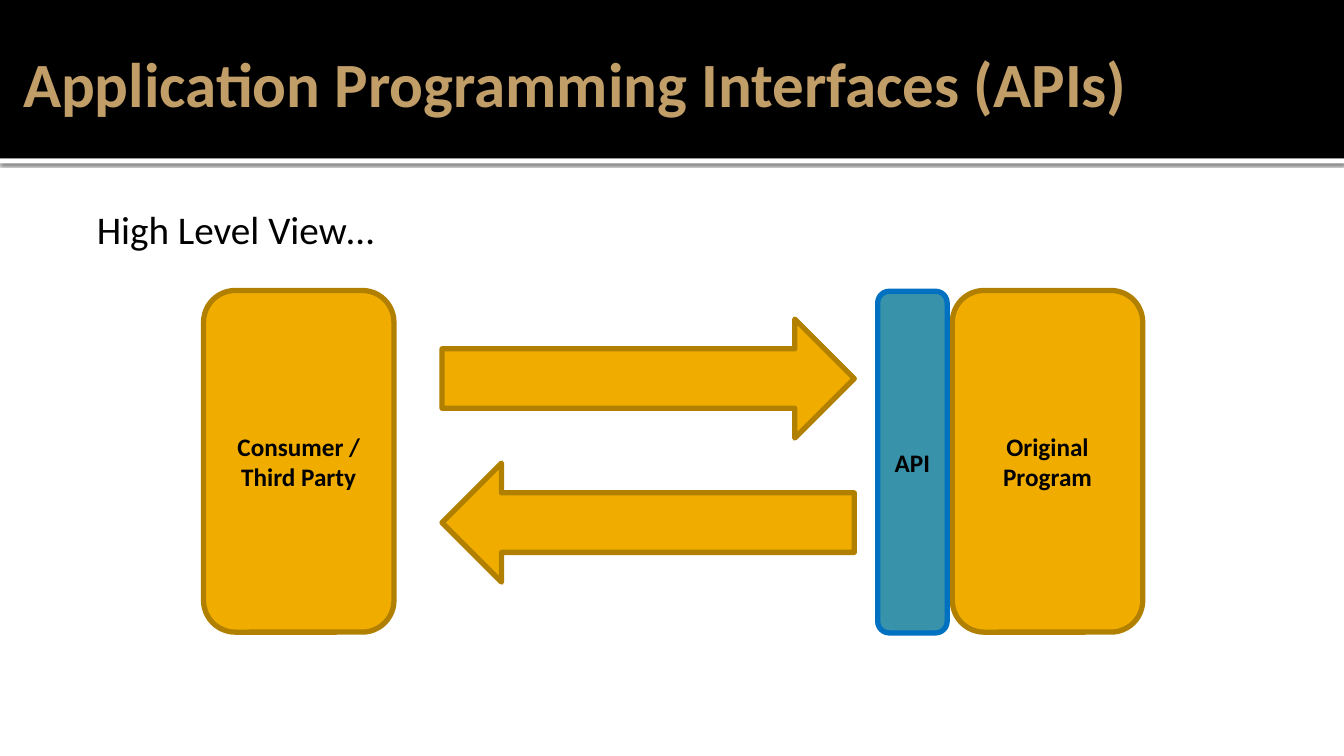
import pptx
import pptx.dml.color
import pptx.enum.shapes
import pptx.enum.text
import pptx.oxml
import pptx.oxml.ns
import pptx.util

Cm = pptx.util.Cm
Pt = pptx.util.Pt
SHAPE = pptx.enum.shapes.MSO_SHAPE
ALIGN = pptx.enum.text.PP_ALIGN
ANCHOR = pptx.enum.text.MSO_ANCHOR

BLACK = "000000"
WHITE = "FFFFFF"
TAN = "C19E67"
AMBER = "F0AD00"
DARK_AMBER = "B28000"
TEAL = "3792AA"
BLUE = "0070C0"


def color(value):
    return pptx.dml.color.RGBColor.from_string(value)


class SlideBuilder:
    font = "Calibri"
    outline_width = Pt(3.78)

    def __init__(self, presentation):
        self.slide = presentation.slides.add_slide(presentation.slide_layouts[5])

    def set_text(self, text_frame, text, size, text_color, bold, align, anchor, margins):
        text_frame.text = text
        text_frame.word_wrap = True
        text_frame.auto_size = pptx.enum.text.MSO_AUTO_SIZE.NONE
        text_frame.vertical_anchor = anchor
        (text_frame.margin_left, text_frame.margin_top,
         text_frame.margin_right, text_frame.margin_bottom) = map(Cm, margins)
        for paragraph in text_frame.paragraphs:
            paragraph.alignment = align
            for run in paragraph.runs:
                run.font.name = self.font
                run.font.size = Pt(size)
                run.font.bold = bold
                run.font.color.rgb = color(text_color)

    def title(self, text, left, top, width, height):
        title = self.slide.shapes.title
        title.left, title.top, title.width, title.height = map(Cm, (left, top, width, height))
        self.set_text(title.text_frame, text, 45, TAN, True, ALIGN.LEFT,
                      ANCHOR.MIDDLE, (0.25, 0.13, 0.13, 0.13))

    def body(self, text, left, top, width, height):
        box = self.slide.shapes.add_textbox(*map(Cm, (left, top, width, height)))
        self.set_text(box.text_frame, text, 28, BLACK, False, ALIGN.LEFT,
                      ANCHOR.TOP, (1.63, 0.25, 0.25, 0.13))

    def block(self, kind, left, top, width, height, fill, line=None, text=""):
        shape = self.slide.shapes.add_shape(kind, *map(Cm, (left, top, width, height)))
        shape.shadow.inherit = False
        shape.fill.solid()
        shape.fill.fore_color.rgb = color(fill)
        if line:
            shape.line.color.rgb = color(line)
            shape.line.width = self.outline_width
        else:
            shape.line.fill.background()
        if text:
            self.set_text(shape.text_frame, text, 18, BLACK, True, ALIGN.CENTER,
                          ANCHOR.MIDDLE, (0.25, 0.13, 0.25, 0.13))
        return shape

    def banner(self, width, height, rule_height):
        rule = self.block(SHAPE.RECTANGLE, 0, height, width, rule_height, WHITE)
        effects = rule.element.spPr.find(pptx.oxml.ns.qn("a:effectLst"))
        effects.append(pptx.oxml.parse_xml(
            f'<a:outerShdw {pptx.oxml.ns.nsdecls("a")} blurRad="31750" dist="10160" '
            'dir="5400000" algn="tl" rotWithShape="0">'
            f'<a:srgbClr val="{BLACK}"><a:alpha val="60000"/></a:srgbClr></a:outerShdw>'))
        band = self.block(SHAPE.RECTANGLE, 0, 0, width, height, BLACK)
        for shape in (rule, band):
            self.slide.shapes.title.element.addprevious(shape.element)


def main():
    presentation = pptx.Presentation()
    presentation.slide_width = Cm(33.87)
    presentation.slide_height = Cm(19.05)
    builder = SlideBuilder(presentation)

    builder.banner(33.87, 3.99, 0.13)
    builder.title("Application Programming Interfaces (APIs)", 0.33, 0.33, 30.48, 3.48)
    builder.body("High Level View…", 0.81, 4.93, 31.93, 12.85)

    for left, top, width, fill, line, text in (
        (5.13, 7.32, 4.8, AMBER, DARK_AMBER, "Consumer / Third Party"),
        (24, 7.32, 4.8, AMBER, DARK_AMBER, "Original Program"),
        (22.12, 7.34, 1.75, TEAL, BLUE, "API"),
    ):
        builder.block(SHAPE.ROUNDED_RECTANGLE, left, top, width, 8.61, fill, line, text)

    for kind, top in ((SHAPE.RIGHT_ARROW, 8.04), (SHAPE.LEFT_ARROW, 11.67)):
        builder.block(kind, 11.14, top, 10.39, 3, AMBER, DARK_AMBER)

    presentation.save("out.pptx")


if __name__ == "__main__":
    main()
